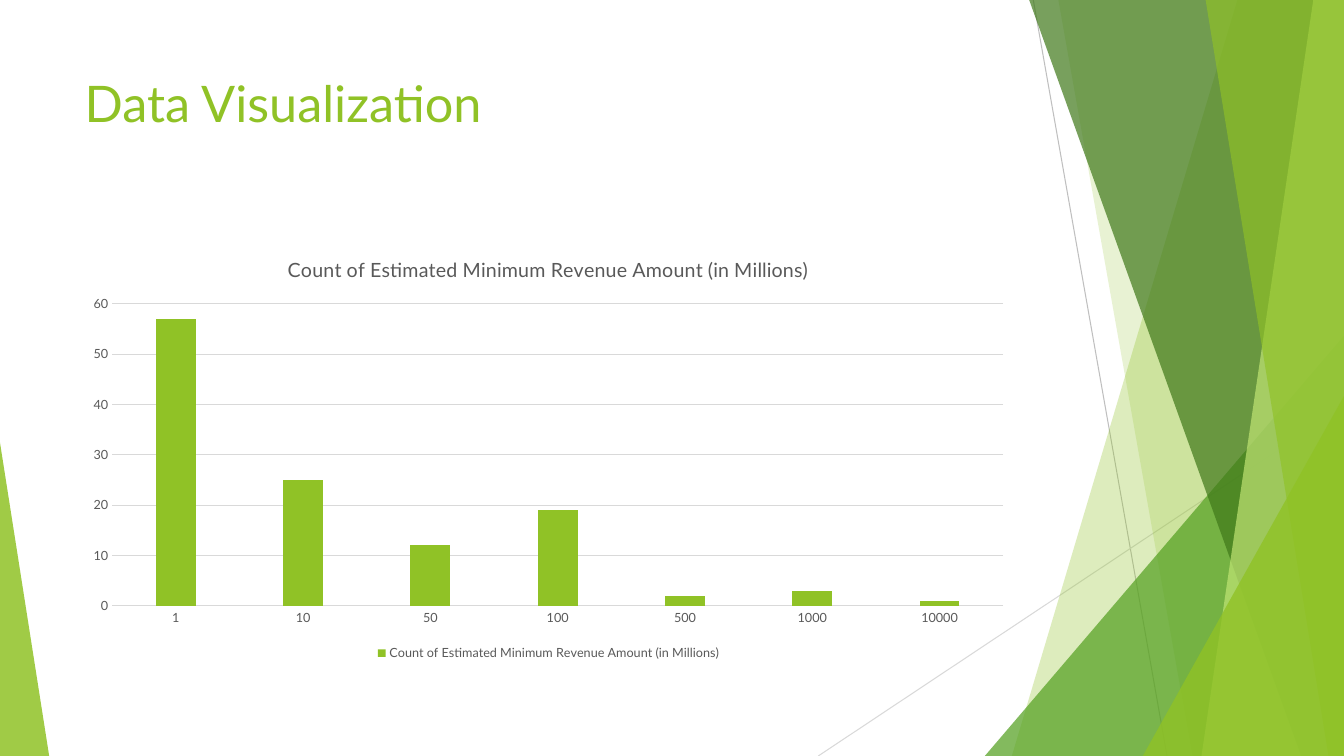
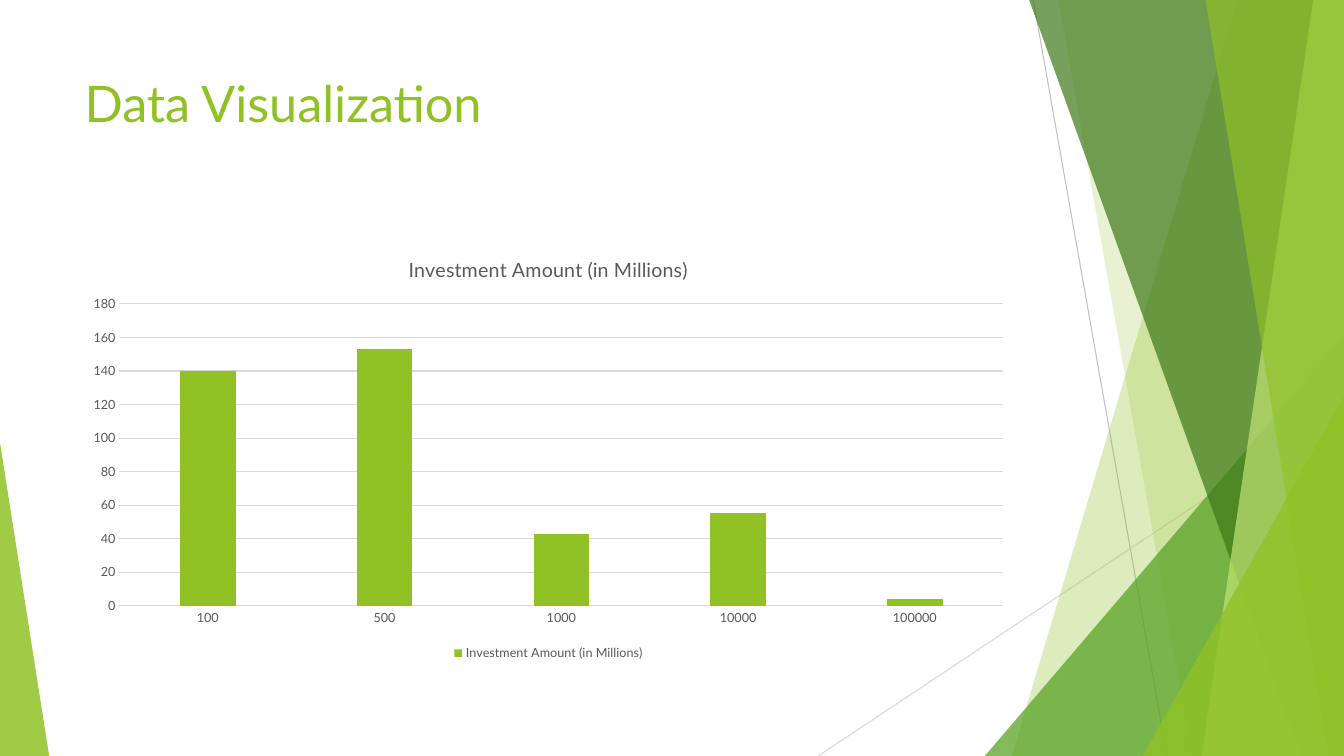
"""Build two data slides with column charts over a shared faceted green layout."""
from lxml import etree
from pptx import Presentation
from pptx.chart.data import CategoryChartData
from pptx.dml.color import RGBColor
from pptx.enum.chart import XL_CHART_TYPE, XL_LEGEND_POSITION, XL_TICK_MARK
from pptx.enum.shapes import MSO_CONNECTOR, MSO_SHAPE
from pptx.enum.text import MSO_ANCHOR, PP_ALIGN
from pptx.oxml.ns import qn
from pptx.util import Cm, Pt

COLUMNS = XL_CHART_TYPE.COLUMN_CLUSTERED
LEGEND_BOTTOM = XL_LEGEND_POSITION.BOTTOM
NO_TICK = XL_TICK_MARK.NONE
STRAIGHT = MSO_CONNECTOR.STRAIGHT
TRIANGLE = MSO_SHAPE.ISOSCELES_TRIANGLE
ANCHOR_TOP = MSO_ANCHOR.TOP
ALIGN_LEFT = PP_ALIGN.LEFT

FONT = "Lato"
LIME = RGBColor(0x90, 0xC2, 0x26)
GREEN = RGBColor(0x54, 0xA0, 0x21)
FOREST = RGBColor(0x3F, 0x78, 0x19)
PALE_LIME = RGBColor(0xC0, 0xE4, 0x74)
BLACK = RGBColor(0, 0, 0)
DARK_GRAY = RGBColor(0x59, 0x59, 0x59)
MID_GRAY = RGBColor(0xBF, 0xBF, 0xBF)
LIGHT_GRAY = RGBColor(0xD9, 0xD9, 0xD9)

WIDTH, HEIGHT = 33.87, 19.05
PANEL_TOP = -0.02
TITLE_BOX = (1.88, 1.7, 23.88, 3.66)
CHART_BOX = (1.88, 5.99, 23.88, 10.77)

SLIDES = [
    {
        "title": "Data Visualization",
        "measure": "Count of Estimated Minimum Revenue Amount (in Millions)",
        "counts": {"1": 57, "10": 25, "50": 12, "100": 19, "500": 2, "1000": 3, "10000": 1},
        "scale": (60, 10),
    },
    {
        "title": "Data Visualization",
        "measure": "Investment Amount (in Millions)",
        "counts": {"100": 140, "500": 153, "1000": 43, "10000": 55, "100000": 4},
        "scale": (180, 20),
    },
]

RAYS = [
    (26.04, 0, 29.41, HEIGHT, MID_GRAY),
    (WIDTH, 10.24, 20.62, HEIGHT, LIGHT_GRAY),
]


def add_ray(shapes, x1, y1, x2, y2, color):
    """Draw one thin line."""
    ray = shapes.add_connector(STRAIGHT, Cm(x1), Cm(y1), Cm(x2), Cm(y2))
    ray.line.color.rgb = color
    ray.line.width = Pt(0.75)
    etree.SubElement(ray.element.spPr, qn("a:effectLst"))


def paint(facet, color, opacity):
    """Give a facet a translucent fill and no outline."""
    facet.shadow.inherit = False
    facet.line.fill.background()
    facet.fill.solid()
    facet.fill.fore_color.rgb = color
    alpha = etree.SubElement(facet.element.spPr.find(".//" + qn("a:srgbClr")), qn("a:alpha"))
    alpha.set("val", str(opacity * 1000))


def add_panel(shapes, top_x, bottom_x):
    """Draw a full-height panel with a slanted left edge."""
    builder = shapes.build_freeform(Cm(top_x), Cm(PANEL_TOP))
    corners = [(WIDTH, PANEL_TOP), (WIDTH, HEIGHT), (bottom_x, HEIGHT)]
    builder.add_line_segments([(Cm(x), Cm(y)) for x, y in corners], close=True)
    return builder.convert_to_shape()


def add_peak(shapes, left, right, top, apex):
    """Draw a right triangle standing on the bottom edge."""
    peak = shapes.add_shape(TRIANGLE, Cm(left), Cm(top), Cm(right - left), Cm(HEIGHT - top))
    peak.adjustments[0] = apex
    return peak


FACETS = [
    (add_panel, (31.19, 25.5), LIME, 30),
    (add_panel, (26.67, 30.05), LIME, 20),
    (add_peak, (24.82, WIDTH, 8.46, 1), GREEN, 72),
    (add_panel, (25.93, 32.79), FOREST, 70),
    (add_panel, (33.1, 30.28), PALE_LIME, 70),
    (add_panel, (30.38, 33.48), LIME, 65),
    (add_peak, (28.8, WIDTH, 9.98, 1), LIME, 80),
    (add_peak, (0, 1.24, 11.15, 0), LIME, 85),
]


def place(part, box):
    """Set the position and size of a part."""
    part.left, part.top, part.width, part.height = (Cm(length) for length in box)


def decorate_layout(layout, slide):
    """Draw the facets with the slide's shape tools and move them to the layout."""
    for placeholder in list(layout.placeholders):
        if placeholder.placeholder_format.idx == 0:
            place(placeholder, TITLE_BOX)
        else:
            layout.shapes.element.remove(placeholder.element)
    title_element = slide.shapes.title.element
    for ray in RAYS:
        add_ray(slide.shapes, *ray)
    for add_facet, outline, color, opacity in FACETS:
        paint(add_facet(slide.shapes, *outline), color, opacity)
    layout_title = layout.placeholders[0].element
    for decoration in list(slide.shapes):
        if decoration.element is not title_element:
            layout_title.addprevious(decoration.element)


def style_font(font, size, color):
    """Apply the shared typeface with a size and colour."""
    font.name = FONT
    font.size = Pt(size)
    font.color.rgb = color


def set_title(slide, text):
    """Fill and format the title placeholder."""
    title = slide.shapes.title
    place(title, TITLE_BOX)
    frame = title.text_frame
    frame.text = text
    frame.vertical_anchor = ANCHOR_TOP
    paragraph = frame.paragraphs[0]
    paragraph.alignment = ALIGN_LEFT
    style_font(paragraph.runs[0].font, 36, LIME)


def style_line(line):
    """Apply the thin gray chart line."""
    line.color.rgb = LIGHT_GRAY
    line.width = Pt(0.75)


def add_column_chart(slide, measure, counts, scale):
    """Add the column chart of one measure."""
    data = CategoryChartData()
    data.categories = list(counts)
    data.add_series(measure, list(counts.values()))
    chart = slide.shapes.add_chart(COLUMNS, *(Cm(length) for length in CHART_BOX), data).chart
    style_font(chart.font, 10, BLACK)

    chart.has_title = True
    heading = chart.chart_title.text_frame
    heading.text = measure
    heading_font = heading.paragraphs[0].runs[0].font
    style_font(heading_font, 14, DARK_GRAY)
    heading_font.bold = False
    chart.chart_title.include_in_layout = False

    chart.has_legend = True
    chart.legend.position = LEGEND_BOTTOM
    chart.legend.include_in_layout = False
    style_font(chart.legend.font, 9, DARK_GRAY)

    for axis in (chart.category_axis, chart.value_axis):
        axis.major_tick_mark = axis.minor_tick_mark = NO_TICK
        style_font(axis.tick_labels.font, 9, DARK_GRAY)
    style_line(chart.category_axis.format.line)
    values = chart.value_axis
    values.format.line.fill.background()
    style_line(values.major_gridlines.format.line)
    values.minimum_scale = 0
    values.maximum_scale, values.major_unit = scale

    plot = chart.plots[0]
    plot.gap_width = 219
    plot.overlap = -27
    plot.vary_by_categories = False
    bars = plot.series[0].format
    bars.fill.solid()
    bars.fill.fore_color.rgb = LIME


def main():
    """Build and save the presentation."""
    deck = Presentation()
    deck.slide_width, deck.slide_height = Cm(WIDTH), Cm(HEIGHT)
    layout = deck.slide_layouts[5]
    for number, content in enumerate(SLIDES):
        slide = deck.slides.add_slide(layout)
        if number == 0:
            decorate_layout(layout, slide)
        set_title(slide, content["title"])
        add_column_chart(slide, content["measure"], content["counts"], content["scale"])
    deck.save("out.pptx")


if __name__ == "__main__":
    main()
